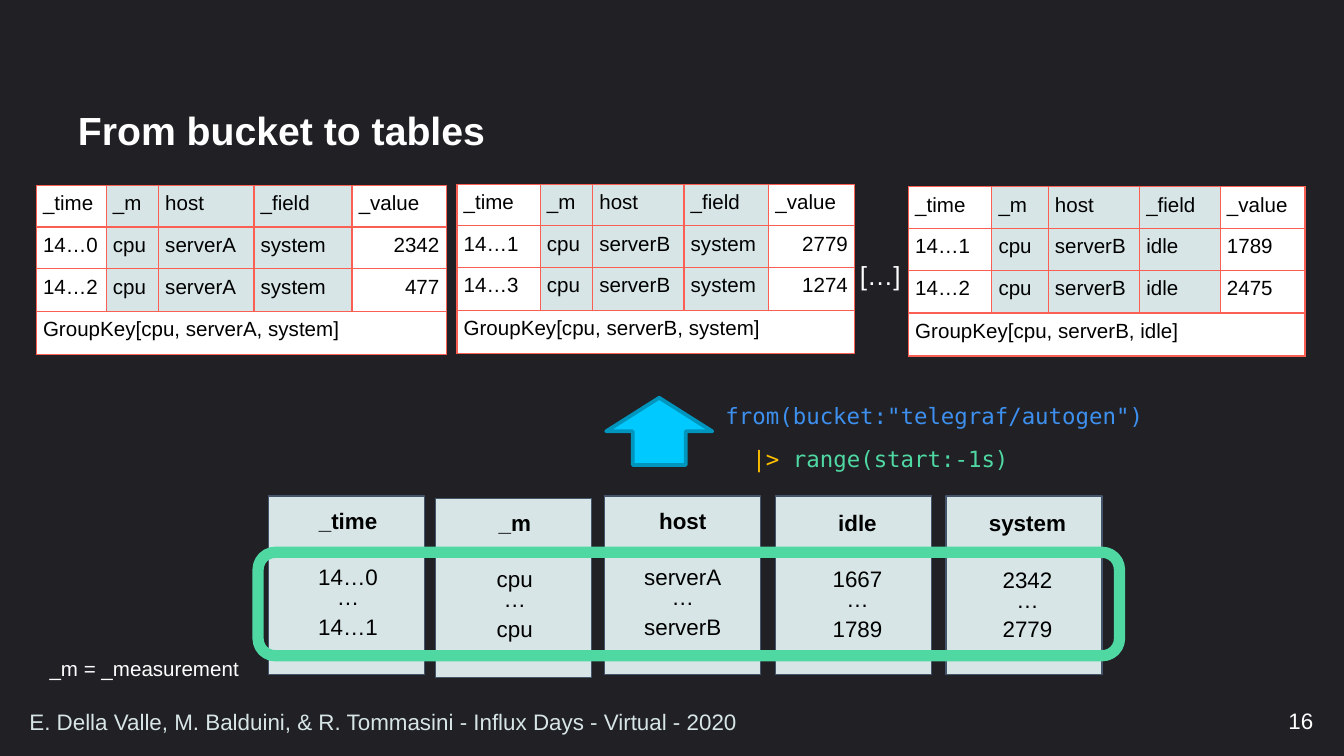
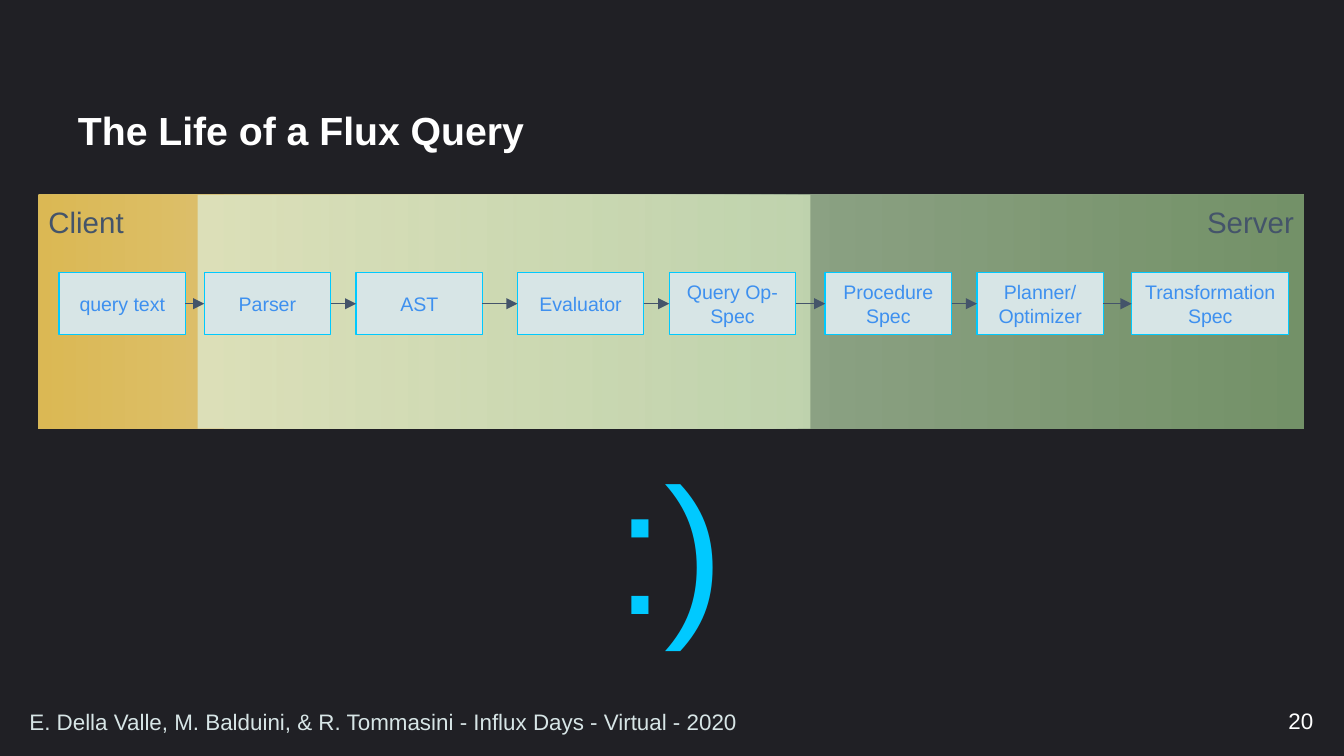
from dataclasses import dataclass

from lxml import etree
from pptx import Presentation
from pptx.dml.color import RGBColor
from pptx.enum.shapes import MSO_CONNECTOR, MSO_SHAPE
from pptx.enum.text import MSO_ANCHOR, PP_ALIGN
from pptx.oxml.ns import qn
from pptx.util import Inches, Pt

RECT, ROUND_RECT, UP_ARROW = MSO_SHAPE.RECTANGLE, MSO_SHAPE.ROUNDED_RECTANGLE, MSO_SHAPE.UP_ARROW
STRAIGHT = MSO_CONNECTOR.STRAIGHT
LEFT, CENTER, RIGHT = PP_ALIGN.LEFT, PP_ALIGN.CENTER, PP_ALIGN.RIGHT
TOP, MIDDLE = MSO_ANCHOR.TOP, MSO_ANCHOR.MIDDLE
RIGHT_SIDE, LEFT_SIDE = 3, 1
UNIT = Inches(0.1)
COLS, ROWS = 100, 56.25


@dataclass(frozen=True)
class Theme:
    """Colours, fonts and type sizes of the deck."""
    back: str = "202025"
    white: str = "FFFFFF"
    black: str = "000000"
    pale: str = "D7E5E6"
    slate: str = "44546A"
    cyan: str = "00C9FF"
    cyan_dark: str = "0095BD"
    blue: str = "3E90EF"
    amber: str = "FFC000"
    green: str = "4FD8A2"
    red: str = "F95F53"
    font: str = "Arial"
    mono: str = "DejaVu Sans Mono"
    title: float = 21
    zone: float = 15.8
    gap: float = 14
    body: float = 12
    cell: float = 11
    step: float = 10.5
    smile: float = 96


T = Theme()
FOOTER = "E. Della Valle, M. Balduini, & R. Tommasini - Influx Days - Virtual - 2020"


def rgb(color):
    """Turn a hex string into a colour."""
    return RGBColor.from_string(color)


def grid(*cells):
    """Turn grid columns and rows into lengths."""
    return [int(UNIT * c) for c in cells]


def style(r, size, color, bold=False, font=T.font):
    """Format one run."""
    r.font.name, r.font.size, r.font.bold = font, Pt(size), bold
    r.font.color.rgb = rgb(color)


def write(shape, text, size, color, align=LEFT, anchor=TOP, bold=False, ins=(1, 0.5), wrap=True):
    """Fill a shape or text box with uniformly formatted text."""
    tf = shape.text_frame
    tf.text = text
    tf.word_wrap, tf.vertical_anchor = wrap, anchor
    tf.margin_left, tf.margin_top = tf.margin_right, tf.margin_bottom = grid(*ins)
    for p in tf.paragraphs:
        p.alignment = align
        for r in p.runs:
            style(r, size, color, bold)
    return tf


def label(s, at, text, size, color, **options):
    """Add a text box."""
    return write(s.shapes.add_textbox(*grid(*at)), text, size, color, **options)


def block(s, at, fill=None, line=None, width=0.75, kind=RECT):
    """Add a preset shape with an optional fill and outline."""
    sp = s.shapes.add_shape(kind, *grid(*at))
    sp.shadow.inherit = False
    if fill:
        sp.fill.solid()
        sp.fill.fore_color.rgb = rgb(fill)
    else:
        sp.fill.background()
    if line:
        sp.line.color.rgb, sp.line.width = rgb(line), Pt(width)
    else:
        sp.line.fill.background()
    return sp


def zone(s, at, text, align, stops, alpha, angle):
    """Add a translucent gradient band with a caption."""
    sp = block(s, at)
    sp.fill.gradient()
    sp.fill.gradient_angle = angle
    for stop, color, position in zip(sp.fill.gradient_stops, stops, (0, 1)):
        stop.color.rgb, stop.position = rgb(color), position
    for clr in sp.element.spPr.iter(qn("a:srgbClr")):
        etree.SubElement(clr, qn("a:alpha"), val=str(alpha * 1000))
    write(sp, text, T.zone, T.slate, align=align, ins=(0.7, 0.7))


def arrow(s, source, target):
    """Join two boxes from right side to left side with an arrow."""
    c = s.shapes.add_connector(STRAIGHT, 0, 0, 0, 0)
    c.begin_connect(source, RIGHT_SIDE)
    c.end_connect(target, LEFT_SIDE)
    c.line.color.rgb, c.line.width = rgb(T.slate), Pt(0.75)
    etree.SubElement(c.line._get_or_add_ln(), qn("a:tailEnd"), type="triangle")
    etree.SubElement(c.element.spPr, qn("a:effectLst"))


def border(cell):
    """Draw red lines on all sides of a table cell."""
    tcPr = cell._tc.get_or_add_tcPr()
    for side in ("lnL", "lnR", "lnT", "lnB"):
        ln = etree.SubElement(tcPr, qn(f"a:{side}"), w=str(Pt(0.75)))
        fill = etree.SubElement(ln, qn("a:solidFill"))
        etree.SubElement(fill, qn("a:srgbClr"), val=T.red)


def fill_cell(cell, text, fill, align=LEFT):
    """Write and format one table cell."""
    border(cell)
    cell.fill.solid()
    cell.fill.fore_color.rgb = rgb(fill)
    cell.margin_left = cell.margin_right = cell.margin_top = cell.margin_bottom = int(UNIT / 2)
    p = cell.text_frame.paragraphs[0]
    p.text, p.alignment = text, align
    for r in p.runs:
        style(r, T.cell, T.black)


def group_table(s, left, top, widths, host, field, records, value_align):
    """Add the table of one group key; its key columns are shaded."""
    rows = [("_time", "_m", "host", "_field", "_value")]
    rows += [(time, "cpu", host, field, value) for time, value in records]
    rows.append((f"GroupKey[cpu, {host}, {field}]", "", "", "", ""))
    heights = (3.1, 3.1, 3.2, 3.2)
    frame = s.shapes.add_table(4, 5, *grid(left, top, sum(widths), sum(heights)))
    table = frame.table
    table.first_row = table.horz_banding = False
    for column, width in zip(table.columns, grid(*widths)):
        column.width = width
    for row, height in zip(table.rows, grid(*heights)):
        row.height = height
    for i, row in enumerate(rows):
        for j, text in enumerate(row):
            shaded = i < 3 and 0 < j < 4
            align = value_align if j == 4 and i in (1, 2) else LEFT
            fill_cell(table.cell(i, j), text, T.pale if shaded else T.white, align)
    table.cell(3, 0).merge(table.cell(3, 4))


def bucket_column(s, left, top, text_left, drop, texts):
    """Add one column of the bucket with its heading and values."""
    block(s, (left, top, 11.6, 13.3), T.pale, T.slate)
    for row, text in zip((36.7, 40.9, 42.4, 44.6), texts):
        label(s, (text_left, row + drop, 9.1, 2.7), text, T.body, T.black,
              align=CENTER, bold=row < 40, ins=(1, 1))


def code(s, at, lines):
    """Add code lines, each a list of text and colour pairs."""
    tf = s.shapes.add_textbox(*grid(*at)).text_frame
    tf.word_wrap = True
    for i, line in enumerate(lines):
        p = tf.add_paragraph() if i else tf.paragraphs[0]
        p.line_spacing = 1.6
        for text, color in line:
            r = p.add_run()
            r.text = text
            style(r, T.body, color, font=T.mono)


def new_slide(prs, title, number):
    """Add a dark slide with title, footer and page number."""
    s = prs.slides.add_slide(prs.slide_layouts[6])
    s.background.fill.solid()
    s.background.fill.fore_color.rgb = rgb(T.back)
    tf = label(s, (5.1, 6.7, 89.8, 6.4), title, T.title, T.white,
               anchor=MIDDLE, bold=True, ins=(0.7, 0.4))
    tf.paragraphs[0].line_spacing = 0.9
    label(s, (76.2, 52.1, 22.5, 3), str(number), T.body, T.white, align=RIGHT, anchor=MIDDLE)
    label(s, (1.2, 52.2, 74.5, 2.9), FOOTER, T.body, T.pale, anchor=MIDDLE)
    return s


def bucket_slide(prs):
    """Show how a bucket is split into tables by group key."""
    s = new_slide(prs, "From bucket to tables", 16)
    for column in (
        (20, 36.9, 21.35, 0, ("_time", "14…0", "…", "14…1")),
        (32.4, 37.1, 33.75, 0.15, ("_m", "cpu", "…", "cpu")),
        (45, 36.9, 46.25, 0, ("host", "serverA", "…", "serverB")),
        (57.7, 36.9, 59.25, 0.15, ("idle", "1667", "…", "1789")),
        (70.4, 36.9, 71.9, 0.2, ("system", "2342", "…", "2779")),
    ):
        bucket_column(s, *column)
    code(s, (53, 28.2, 50, 7.1), (
        [('from(bucket:"telegraf/autogen")', T.blue)],
        [("  ", T.black), ("|> ", T.amber), ("range(start:-1s)", T.green)],
    ))
    group_table(s, 2.7, 13.8, (5.2, 3.9, 7.1, 7.3, 7), "serverA", "system",
                (("14…0", "2342"), ("14…2", "477")), RIGHT)
    group_table(s, 34, 13.7, (6.2, 3.9, 6.8, 6.3, 6.4), "serverB", "system",
                (("14…1", "2779"), ("14…3", "1274")), RIGHT)
    group_table(s, 67.6, 13.9, (6.2, 4.2, 6.8, 6, 6.3), "serverB", "idle",
                (("14…1", "1789"), ("14…2", "2475")), LEFT)
    label(s, (63, 18.8, 5.1, 3.4), "[…]", T.gap, T.white, wrap=False)
    block(s, (45.1, 29.6, 7.9, 5), T.cyan, T.cyan_dark, 2, UP_ARROW)
    label(s, (2.7, 48.3, 16.2, 2.9), "_m = _measurement", T.cell, T.white, wrap=False)
    block(s, (19.2, 41.1, 64.1, 7.7), line=T.green, width=6, kind=ROUND_RECT)


def query_slide(prs):
    """Show the steps of a query from client to server."""
    s = new_slide(prs, "The Life of a Flux Query", 20)
    zone(s, (2.9, 14.5, 57.4, 17.4), "Client", LEFT, ("FFF6DB", "FAD25C"), 85, 180)
    zone(s, (14.7, 14.5, 82.3, 17.4), "Server", RIGHT, ("DCECD5", "93BC81"), 73, 0)
    steps = []
    for left, width, text in (
        (4.4, 9.4, "query text"), (15.2, 9.4, "Parser"), (26.5, 9.4, "AST"),
        (38.5, 9.4, "Evaluator"), (49.8, 9.4, "Query Op-Spec"), (61.4, 9.4, "Procedure Spec"),
        (72.7, 9.4, "Planner/\vOptimizer"), (84.2, 11.7, "Transformation Spec"),
    ):
        step = block(s, (left, 20.3, width, 4.6), T.pale, T.cyan)
        write(step, text, T.step, T.blue, align=CENTER, anchor=MIDDLE, ins=(0.7, 0.7))
        steps.append(step)
    for source, target in zip(steps, steps[1:]):
        arrow(s, source, target)
    label(s, (44.8, 31.9, 10.2, 17.2), ":)", T.smile, T.cyan, wrap=False)


def main():
    """Build and save the deck."""
    prs = Presentation()
    prs.slide_width, prs.slide_height = grid(COLS, ROWS)
    bucket_slide(prs)
    query_slide(prs)
    prs.save("out.pptx")


if __name__ == "__main__":
    main()
